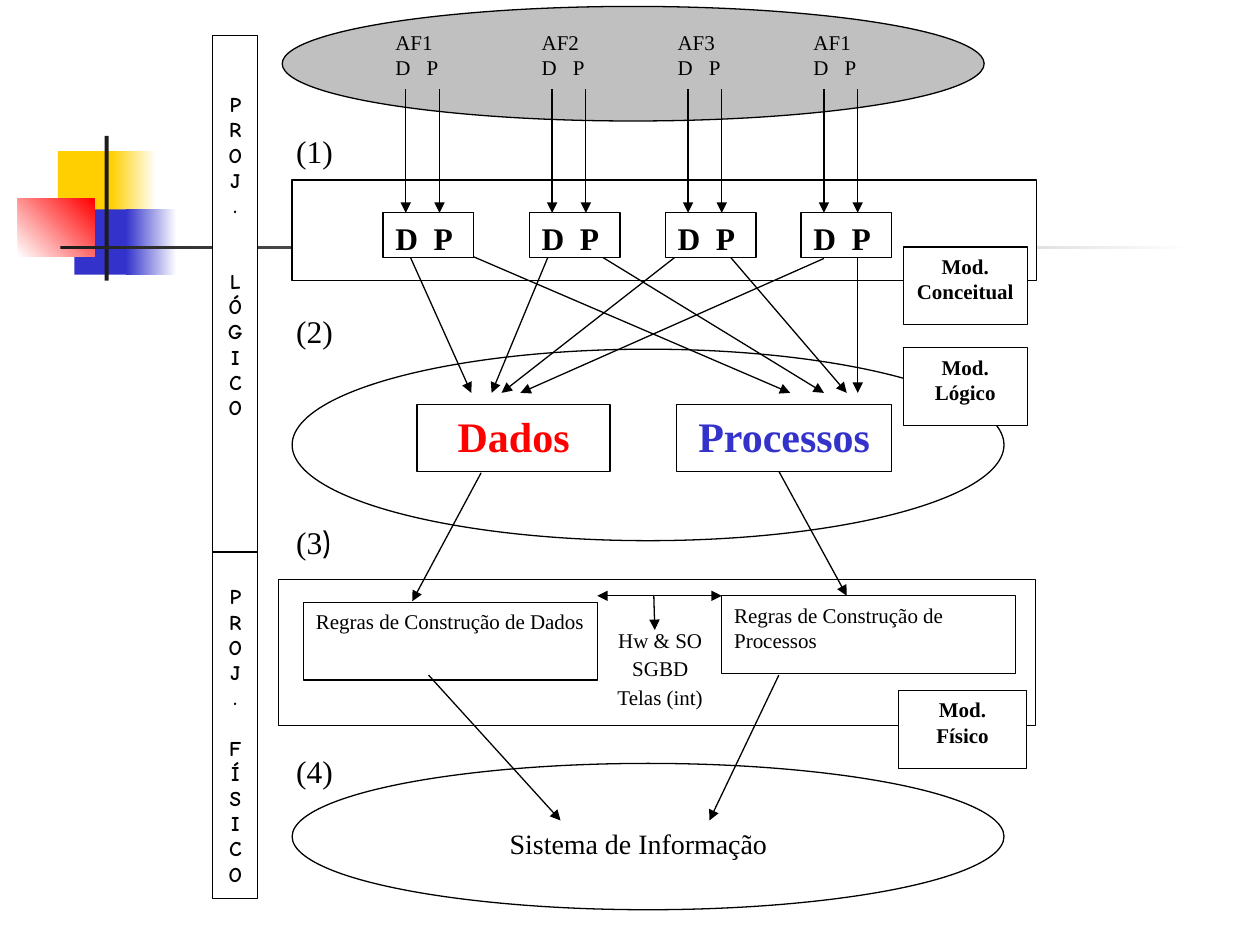
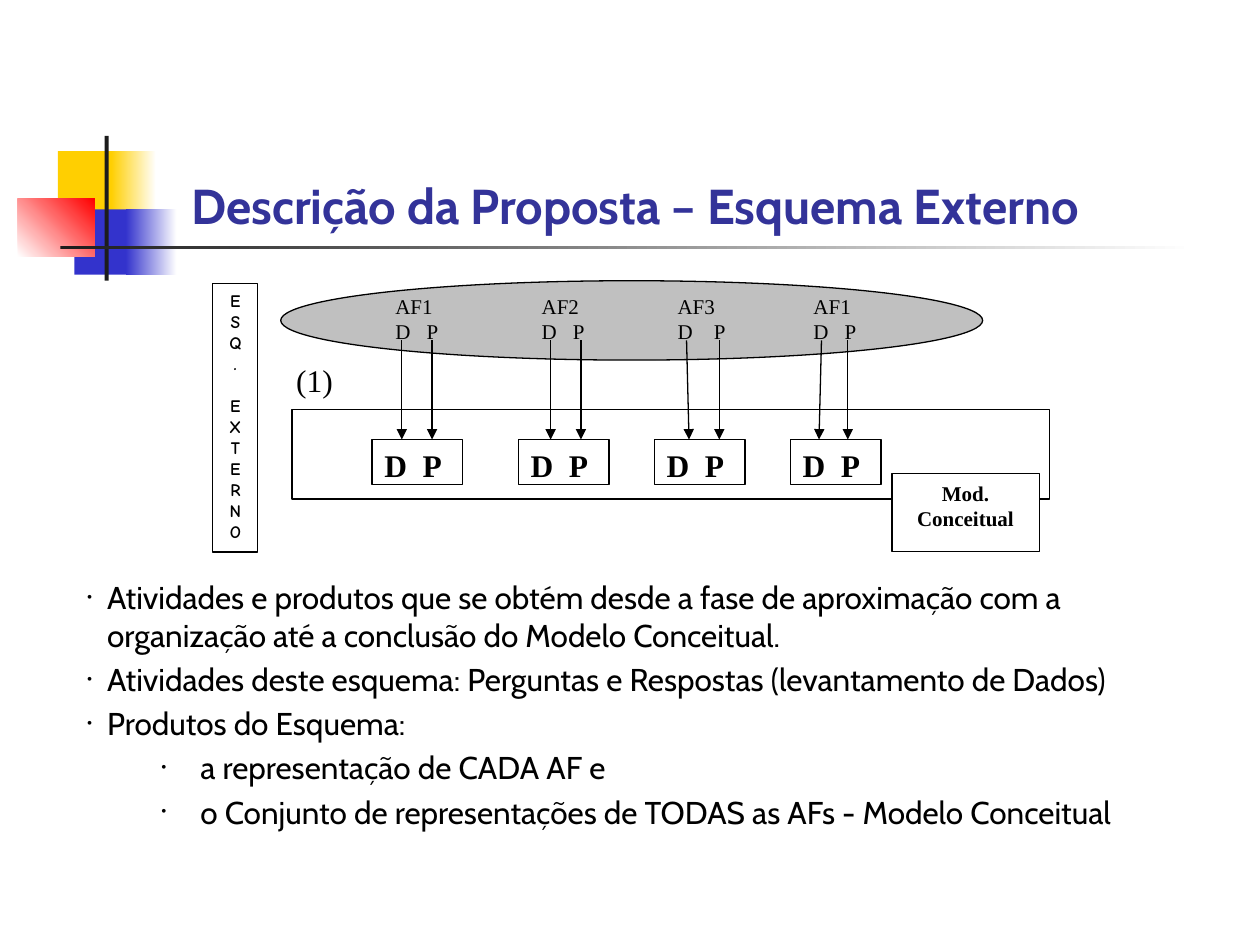
from lxml.etree import SubElement
from pptx import Presentation
from pptx.dml.color import RGBColor
from pptx.enum.shapes import MSO_CONNECTOR as Connector, MSO_SHAPE as Shape
from pptx.enum.text import MSO_ANCHOR as Anchor, MSO_AUTO_SIZE as AutoSize, PP_ALIGN as Align
from pptx.oxml.ns import qn
from pptx.util import Cm, Pt

BLACK, WHITE, GREY, DARK = "000000", "FFFFFF", "C0C0C0", "1C1C1C"
YELLOW, BLUE, RED, TITLE_BLUE = "FFCF01", "3333CC", "FF0000", "333399"
SERIF, SANS, COMIC = "Times New Roman", "Cabin", "Comic Neue"

BODY = {"name": SERIF, "size": Pt(12), "bold": False, "color": BLACK}
STRONG = {**BODY, "bold": True}
NUMBER = {**BODY, "size": Pt(18)}
PAIR = {**NUMBER, "bold": True}
SYSTEM = {**BODY, "size": Pt(16)}
DATA = {**STRONG, "size": Pt(24), "color": RED}
PROCESS = {**DATA, "color": BLUE}
SIDE = {**STRONG, "name": COMIC}
SMALL_SIDE = {**SIDE, "size": Pt(10)}
BULLET = {**NUMBER, "name": SANS}
TITLE = {"name": SANS, "size": Pt(28), "bold": True, "color": TITLE_BLUE}

EMBLEM = [
    ((1.17, 3.05, 1.22, 1.32), (YELLOW,), 0),
    ((2.24, 3.05, 0.91, 1.32), (YELLOW, WHITE), 0),
    ((1.5, 4.22, 1.17, 1.32), (BLUE,), 0),
    ((2.54, 4.22, 1.02, 1.32), (BLUE, WHITE), 0),
    ((0.36, 4.01, 1.55, 1.17), (WHITE, RED), 45),
    ((2.11, 2.74, 0.08, 2.92), (DARK,), 0),
    ((1.22, 4.95, 22.86, 0.08), (DARK, WHITE), 0),
]

AREAS = ["AF1", "AF2", "AF3", "AF1"]
COLUMNS = [7.72, 10.67, 13.41, 16.15]
AREA_SIZE, PAIR_SIZE, NUMBER_SIZE = (1.83, 1.8), (1.83, 0.91), (1.47, 1.02)
NUMBER_LEFT = 5.72

MODEL_FRAMES = [
    (Shape.OVAL, (5.69, 0.13, 14.15, 2.31), GREY),
    (Shape.RECTANGLE, (5.89, 3.63, 15.01, 2.03), WHITE),
    (Shape.OVAL, (5.89, 7.04, 14.35, 3.86), WHITE),
    (Shape.RECTANGLE, (5.61, 11.68, 15.27, 2.95), WHITE),
    (Shape.OVAL, (5.89, 15.39, 14.35, 2.95), WHITE),
]
RULES = [
    ((6.12, 12.14, 5.92, 1.57), "Regras de Construção de Dados"),
    ((14.55, 12.01, 5.92, 1.57), "Regras de Construção de Processos"),
]
MODEL_FLOWS = [
    (8.18, 4.98, 9.5, 7.92), (11.13, 4.98, 9.91, 7.92),
    (13.87, 4.98, 10.11, 7.92), (16.61, 5.21, 10.49, 7.92),
    (9.09, 4.98, 15.93, 7.92), (11.81, 4.98, 16.61, 7.92),
    (14.55, 4.98, 17.07, 7.92), (17.29, 4.98, 17.29, 7.92),
    (9.7, 9.53, 8.31, 12.12), (15.7, 9.5, 17.07, 12.01),
    (13.18, 12.01, 13.2, 12.7),
    (8.64, 13.61, 11.3, 16.54), (15.7, 13.61, 14.3, 16.54),
]
RULES_LINK = (12.04, 12.01, 14.55, 12.01)
MODEL_BOXES = [
    ((8.41, 8.15, 3.89, 1.35), ["Dados"], DATA),
    ((13.64, 8.15, 4.34, 1.35), ["Processos"], PROCESS),
    ((18.21, 4.98, 2.5, 1.57), ["Mod.", "Conceitual"], STRONG),
    ((18.21, 7.01, 2.5, 1.57), ["Mod.", "Lógico"], STRONG),
    ((18.11, 13.92, 2.59, 1.57), ["Mod.", "Físico"], STRONG),
]
NUMBERS = [("(1)", 2.54), ("(2)", 6.17), ("(3", 10.41), ("(4)", 15.04)]
PLATFORM = ["Hw & SO", "SGBD", "Telas (int)"]

SCHEMA_FRAMES = [
    (Shape.OVAL, (5.66, 5.66, 14.15, 1.6), GREY),
    (Shape.RECTANGLE, (5.89, 8.26, 15.27, 1.8), WHITE),
]
SCHEMA_ARROWS = [
    (8.1, 8.1), (8.71, 8.71), (11.1, 11.1), (11.71, 11.71),
    (13.84, 13.89), (14.5, 14.5), (16.56, 16.51), (17.09, 17.09),
]
BULLETS = [
    (0, "Atividades e produtos que se obtém desde a fase de aproximação com a "
        "organização até a conclusão do Modelo Conceitual."),
    (0, "Atividades deste esquema: Perguntas e Respostas (levantamento de Dados)"),
    (0, "Produtos do Esquema:"),
    (1, "a representação de CADA AF e"),
    (1, "o Conjunto de representações de TODAS as AFs - Modelo Conceitual"),
]
INDENTS = [(0.41, -0.41), (2.29, -0.79)]


def rgb(value):
    """Turn a hex string into a colour."""
    return RGBColor.from_string(value)


def cm(values):
    """Turn numbers into lengths in centimetres."""
    return [Cm(value) for value in values]


def add_span(para, text, look):
    """Add text with the given format to a paragraph."""
    span = para.add_run()
    span.text = text
    for name, value in look.items():
        if name == "color":
            span.font.color.rgb = rgb(value)
        else:
            setattr(span.font, name, value)


def write(box, lines, look, align=Align.LEFT, gap=0, top=0.13, anchor=Anchor.TOP):
    """Fill a box with one paragraph per line and return the paragraphs."""
    frame = box.text_frame
    layout = {"word_wrap": True, "auto_size": AutoSize.NONE, "vertical_anchor": anchor,
              "margin_left": Cm(0.25), "margin_right": Cm(0.25),
              "margin_top": Cm(top), "margin_bottom": Cm(0.13)}
    for name, value in layout.items():
        setattr(frame, name, value)
    for index, line in enumerate(lines):
        para = frame.add_paragraph() if index else frame.paragraphs[0]
        para.alignment = align
        if index and gap:
            para.space_before = Pt(gap)
        add_span(para, line, look)
    return frame.paragraphs


def add_text(page, place, lines, look, **options):
    """Add an unframed text and return its paragraphs."""
    return write(page.shapes.add_textbox(*cm(place)), lines, look, **options)


def add_frame(page, kind, place, fill):
    """Add an outlined shape."""
    shape = page.shapes.add_shape(kind, *cm(place))
    shape.shadow.inherit = False
    shape.fill.solid()
    shape.fill.fore_color.rgb = rgb(fill)
    shape.line.color.rgb = rgb(BLACK)
    shape.line.width = Pt(0.75)
    return shape


def add_box(page, place, lines, look, **options):
    """Add a white box with text and return its paragraphs."""
    return write(add_frame(page, Shape.RECTANGLE, place, WHITE), lines, look, **options)


def add_arrow(page, ends, heads=("tailEnd",)):
    """Add a line with the given arrowheads."""
    arrow = page.shapes.add_connector(Connector.STRAIGHT, *cm(ends))
    arrow.line.color.rgb = rgb(BLACK)
    arrow.line.width = Pt(0.75)
    properties = arrow.element.spPr
    for head in heads:
        SubElement(properties.find(qn("a:ln")), qn(f"a:{head}"), type="triangle")
    SubElement(properties, qn("a:effectLst"))


def add_tab(para, position):
    """Set one left tab stop."""
    stops = SubElement(para._p.get_or_add_pPr(), qn("a:tabLst"))
    SubElement(stops, qn("a:tab"), pos=str(Cm(position)), algn="l")


def add_areas(page, top, tabs):
    """Add the functional areas, each with its data and process letters."""
    for left, area, tab in zip(COLUMNS, AREAS, tabs):
        paras = add_text(page, (left, top, *AREA_SIZE), [area, "D\tP"], BODY)
        add_tab(paras[1], tab)


def add_pairs(page, top, shift=0):
    """Add the row of boxes with data and process letters."""
    for left in COLUMNS:
        place = (left + shift, top, *PAIR_SIZE)
        add_tab(add_box(page, place, ["D\tP"], PAIR)[0], 0.77)


def add_number(page, text, top):
    """Add a step number."""
    return add_text(page, (NUMBER_LEFT, top, *NUMBER_SIZE), [text], NUMBER)[0]


def add_side(page, place, words, look, gap, top=0.13):
    """Add a vertical band whose words are set one letter per line."""
    paras = add_box(page, place, "".join(words), look, align=Align.CENTER, top=top)
    paras[len(words[0])].space_before = Pt(gap)


def add_emblem(deck, page):
    """Put the coloured squares and rules on the slide master."""
    tree = deck.slide_master.element.cSld.spTree
    for number, (place, colours, angle) in enumerate(EMBLEM, 101):
        shape = page.shapes.add_shape(Shape.RECTANGLE, *cm(place))
        shape.shadow.inherit = False
        shape.line.fill.background()
        if len(colours) == 1:
            shape.fill.solid()
            shape.fill.fore_color.rgb = rgb(colours[0])
        else:
            shape.fill.gradient()
            shape.fill.gradient_angle = angle
            for stop, colour in zip(shape.fill.gradient_stops, colours):
                stop.color.rgb = rgb(colour)
        shape.element.nvSpPr.cNvPr.set("id", str(number))
        tree.append(shape.element)


def build_model(page):
    """Draw the path from functional areas to the information system."""
    for frame in MODEL_FRAMES:
        add_frame(page, *frame)
    add_areas(page, 0.46, [0.63] * 4)
    for place, text in RULES:
        add_box(page, place, [text], BODY)
    for left in COLUMNS:
        for offset in (0.46, 1.14):
            add_arrow(page, (left + offset, 1.8, left + offset, 4.29))
    for ends in MODEL_FLOWS:
        add_arrow(page, ends)
    add_arrow(page, RULES_LINK, ("headEnd", "tailEnd"))
    for place, lines, look in MODEL_BOXES:
        add_box(page, place, lines, look, align=Align.CENTER)
    add_pairs(page, 4.29)
    add_side(page, (4.29, 0.71, 0.91, 10.41), ("PROJ.", "LÓGICO"), SIDE, 29, 1.14)
    add_side(page, (4.29, 11.13, 0.91, 6.99), ("PROJ.", "FÍSICO"), SIDE, 14.5, 0.64)
    for text, top in NUMBERS:
        para = add_number(page, text, top)
        if not text.endswith(")"):
            add_span(para, ")", {**NUMBER, "name": SANS})
    add_text(page, (11.71, 12.52, 3.2, 1.88), PLATFORM, BODY, align=Align.CENTER, gap=1.8)
    add_text(page, (9.91, 16.54, 5.92, 0.99), ["Sistema de Informação"], SYSTEM,
             align=Align.CENTER)


def build_schema(page):
    """Draw the external schema and describe it."""
    title = page.shapes.title
    title.left, title.top, title.width, title.height = cm((3.61, 3.38, 21.79, 1.47))
    write(title, ["Descrição da Proposta – Esquema Externo"], TITLE, anchor=Anchor.BOTTOM)
    for frame in SCHEMA_FRAMES:
        add_frame(page, *frame)
    add_areas(page, 5.79, [0.63, 0.63, 0.73, 0.63])
    for start, end in SCHEMA_ARROWS:
        add_arrow(page, (start, 6.86, end, 8.86))
    add_box(page, (17.98, 9.55, 2.97, 1.57), ["Mod.", "Conceitual"], STRONG,
            align=Align.CENTER)
    add_pairs(page, 8.86, -0.22)
    add_number(page, "(1)", 7.14)
    add_side(page, (4.29, 5.72, 0.91, 5.41), ("ESQ.", "EXTERNO"), SMALL_SIDE, 12)
    paras = add_text(page, (1.5, 11.53, 22.61, 5.79), [text for _, text in BULLETS],
                     BULLET, gap=3.6)
    for para, (level, _) in zip(paras, BULLETS):
        para.level = level
        properties = para._p.get_or_add_pPr()
        for name, value in zip(("marL", "indent"), INDENTS[level]):
            properties.set(name, str(Cm(value)))
        SubElement(properties, qn("a:buSzPct"), val="50000")
        SubElement(properties, qn("a:buFont"), typeface=SERIF)
        SubElement(properties, qn("a:buChar"), char="•")


def main():
    """Build both slides and save the deck."""
    deck = Presentation()
    deck.slide_width, deck.slide_height = cm((25.4, 19.05))
    title_only, blank = deck.slide_layouts[5], deck.slide_layouts[6]
    model = deck.slides.add_slide(blank)
    add_emblem(deck, model)
    build_model(model)
    build_schema(deck.slides.add_slide(title_only))
    deck.save("out.pptx")


if __name__ == "__main__":
    main()
